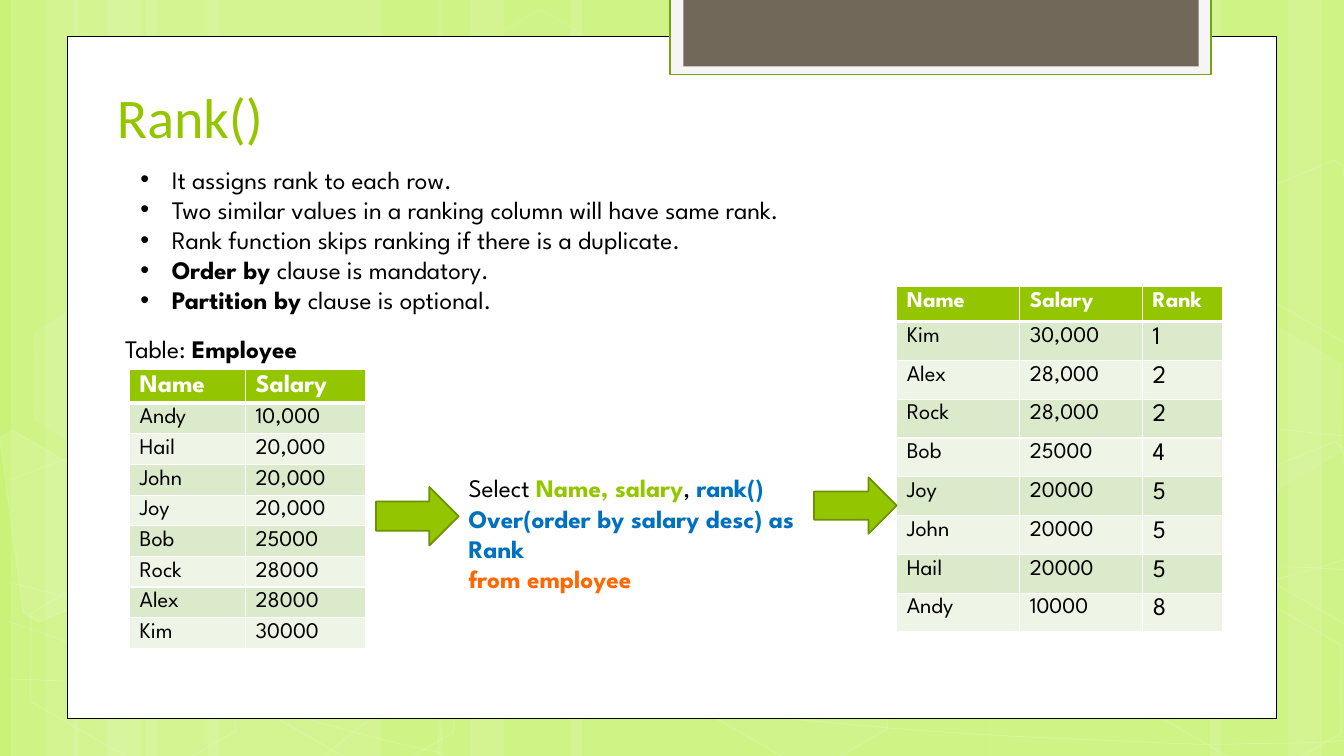
from pptx import Presentation
from pptx.dml.color import RGBColor
from pptx.enum.shapes import MSO_SHAPE
from pptx.enum.text import MSO_ANCHOR, MSO_AUTO_SIZE, PP_ALIGN
from pptx.oxml import parse_xml
from pptx.oxml.ns import nsdecls, qn
from pptx.util import Pt

RECTANGLE, HEXAGON = MSO_SHAPE.RECTANGLE, MSO_SHAPE.HEXAGON
RIGHT_ARROW = MSO_SHAPE.RIGHT_ARROW
TOP, BOTTOM = MSO_ANCHOR.TOP, MSO_ANCHOR.BOTTOM
NO_AUTOFIT, LEFT = MSO_AUTO_SIZE.NONE, PP_ALIGN.LEFT

GREEN, WHITE, BLACK, BLUE, ORANGE = "94C600", "FFFFFF", "000000", "0070C0", "FF6700"
BAND_DARK, BAND_LIGHT = "DCEACC", "EEF5E7"
BODY = {"name": "League Spartan", "size": Pt(18), "bold": False, "color": BLACK}
BOLD = {**BODY, "bold": True}
CELL = {**BODY, "size": Pt(16)}

# Backdrop data: bands as (outer edge, direction, wide stripe), curves as Bezier points
BANDS = [(8, 1, 168), (52.4, 1, 168), (968, -1, 168), (312, 1, 296)]
CURVES = [
    [(7, 485), (59, 487), (111, 489), (183, 488), (255, 487), (343, 486), (439, 479),
     (536, 472), (672, 458), (760, 444), (848, 431), (938, 409), (967, 397)],
    [(7, 343), (35, 332), (62, 321), (117, 310), (171, 300), (248, 284), (333, 279),
     (419, 274), (525, 273), (628, 279), (734, 284), (909, 307), (967, 312)],
    [(6, 444), (122, 484), (238, 523), (321, 539)],
    [(7, 416), (37, 424), (67, 432), (123, 444), (179, 454), (262, 472), (342, 485),
     (422, 497), (523, 510), (603, 517), (683, 525), (768, 528), (819, 530),
     (869, 533), (882, 531), (907, 531), (932, 531), (950, 530), (967, 528)],
    [(233, 539), (250, 525), (267, 510), (290, 498), (313, 485), (346, 470), (372, 460),
     (399, 450), (415, 446), (451, 438), (487, 431), (551, 421), (584, 416),
     (618, 411), (623, 411), (653, 410), (683, 408), (729, 405), (762, 405),
     (796, 404), (851, 405), (851, 405), (872, 405), (893, 405), (914, 405),
     (932, 405), (949, 406), (957, 407), (961, 407), (966, 407), (966, 407)],
]
# Left, top, fill opacity, line opacity
HEXAGONS = [(320.4, 26, 4, 8), (476.6, 424, 6, 12), (10.8, 425.5, 0, 12),
            (13.7, 224.6, 7, 8), (167, 426, 0, 12), (800.6, 427, 0, 12),
            (800.6, 226, 7, 8)]
# Hexagons cut by the slide edge: left, top, fill opacity, corners before rotation
LEFT_CUT = [(0, 9), (5, 0), (91, 0), (132, 55), (90, 109), (77, 109)]
RIGHT_CUT = [(0, 54.5), (42, 0), (49, 0), (130, 104.5), (126, 109), (42, 109)]
CUT_HEXAGONS = [(-31.7, 330.5, 10, LEFT_CUT), (880.6, 319.7, 4, RIGHT_CUT),
                (880.6, 118.8, 0, RIGHT_CUT)]

EMPLOYEES = [("Name", "Salary"), ("Andy", "10,000"), ("Hail", "20,000"),
             ("John", "20,000"), ("Joy", "20,000"), ("Bob", "25000"),
             ("Rock", "28000"), ("Alex", "28000"), ("Kim", "30000")]
RANKING = [("Name", "Salary", "Rank"), ("Kim", "30,000", "1"), ("Alex", "28,000", "2"),
           ("Rock", "28,000", "2"), ("Bob", "25000", "4"), ("Joy", "20000", "5"),
           ("John", "20000", "5"), ("Hail", "20000", "5"), ("Andy", "10000", "8")]
RULES = [
    [("It assigns rank to each row.", BODY)],
    [("Two similar values in a ranking column will have same rank.", BODY)],
    [("Rank function skips ranking if there is a duplicate.", BODY)],
    [("Order by ", BOLD), ("clause is mandatory.", BODY)],
    [("Partition by ", BOLD), ("clause is optional.", BODY)],
]
QUERY = [
    [("Select ", BODY), ("Name, salary", {**BOLD, "color": GREEN}), (", ", BODY),
     ("rank() Over(order by salary desc) as Rank", {**BOLD, "color": BLUE})],
    [("from employee", {**BOLD, "color": ORANGE})],
]


def rgb(value):
    return RGBColor.from_string(value)


def paint(shape, fill=None, line=None, width=1, fill_opacity=100, line_opacity=100):
    shape.shadow.inherit = False
    if fill and fill_opacity:
        shape.fill.solid()
        shape.fill.fore_color.rgb = rgb(fill)
    else:
        shape.fill.background()
    if line:
        shape.line.color.rgb = rgb(line)
        shape.line.width = Pt(width)
    else:
        shape.line.fill.background()
    solid = f"{qn('a:solidFill')}/{qn('a:srgbClr')}"
    for place, opacity in ((solid, fill_opacity), (f"{qn('a:ln')}/{solid}", line_opacity)):
        color = shape.element.spPr.find(place)
        if color is not None and opacity < 100:
            color.append(parse_xml(f'<a:alpha {nsdecls("a")} val="{opacity * 1000}"/>'))


def add_shape(slide, kind, box, **look):
    shape = slide.shapes.add_shape(kind, *map(Pt, box))
    paint(shape, **look)
    return shape


def add_outline(slide, points, close, **look):
    corners = [(Pt(x), Pt(y)) for x, y in points]
    builder = slide.shapes.build_freeform(*corners[0])
    builder.add_line_segments(corners[1:], close=close)
    outline = builder.convert_to_shape()
    paint(outline, **look)
    return outline


def add_curve(slide, controls, **look):
    curve = add_outline(slide, controls, False, **look)
    # Each three line ends become the control points of one Bezier segment
    segments = list(curve.element.iter(qn("a:lnTo")))
    for start in range(0, len(segments), 3):
        bezier = parse_xml(f'<a:cubicBezTo {nsdecls("a")}/>')
        segments[start].addprevious(bezier)
        for segment in segments[start:start + 3]:
            bezier.append(segment[0])
            segment.getparent().remove(segment)


def write(paragraph, runs):
    for text, style in runs:
        run = paragraph.add_run()
        run.text = text
        for key, value in style.items():
            if key == "color":
                run.font.color.rgb = rgb(value)
            else:
                setattr(run.font, key, value)


def fill_text(shape, box, paragraphs, anchor=TOP, indent=0):
    for key, value in zip(("left", "top", "width", "height"), box):
        setattr(shape, key, Pt(value))
    frame = shape.text_frame
    for key, value in {"word_wrap": True, "auto_size": NO_AUTOFIT,
                       "vertical_anchor": anchor}.items():
        setattr(frame, key, value)
    for index, runs in enumerate(paragraphs):
        paragraph = frame.add_paragraph() if index else frame.paragraphs[0]
        paragraph.alignment, paragraph.space_before = LEFT, Pt(0)
        if indent:
            properties = paragraph._p.get_or_add_pPr()
            properties.set("marL", str(Pt(indent)))
            properties.set("indent", str(-Pt(indent)))
        write(paragraph, runs)


def add_text(slide, box, paragraphs):
    fill_text(slide.shapes.add_textbox(*map(Pt, box)), box, paragraphs)


def add_grid(slide, left, top, rows, widths, heights, header_size):
    grid = slide.shapes.add_table(len(rows), len(widths), Pt(left), Pt(top),
                                  Pt(sum(widths)), Pt(sum(heights))).table
    for column, width in zip(grid.columns, widths):
        column.width = Pt(width)
    for r, values in enumerate(rows):
        grid.rows[r].height = Pt(heights[r])
        for c, value in enumerate(values):
            cell = grid.cell(r, c)
            style = {**CELL, "size": Pt(18)} if c == 2 else CELL
            if r == 0:
                style = {**BOLD, "size": Pt(header_size), "color": WHITE}
            write(cell.text_frame.paragraphs[0], [(value, style)])
            # Cell borders come before the fill
            properties = cell._tc.get_or_add_tcPr()
            for side in "LRTB":
                heavy = (r, side) in ((0, "B"), (1, "T"))
                properties.append(parse_xml(
                    f'<a:ln{side} {nsdecls("a")} w="{Pt(3 if heavy else 1)}"><a:solidFill>'
                    f'<a:srgbClr val="{WHITE}"/></a:solidFill></a:ln{side}>'))
            cell.fill.solid()
            cell.fill.fore_color.rgb = rgb((BAND_DARK if r % 2 else BAND_LIGHT) if r else GREEN)


def add_backdrop(slide, width, height):
    slide.background.fill.solid()
    slide.background.fill.fore_color.rgb = rgb("CAF278")
    # Stripes
    for edge, direction, wide in BANDS:
        for offset, stripe in ((96, wide), (0, 48), (24, 80)):
            left = edge + offset if direction > 0 else edge - offset - stripe
            band = add_shape(slide, RECTANGLE, (left, 0, stripe, height),
                             fill=WHITE, fill_opacity=10)
            band.rotation = 0 if direction > 0 else 180
    # Curves and hexagons
    for controls in CURVES:
        add_curve(slide, controls, line=WHITE, width=0.5, line_opacity=20)
    for left, top, opacity, edge in HEXAGONS:
        hexagon = add_shape(slide, HEXAGON, (left, top, 168.5, 109.4), fill=WHITE,
                            line=WHITE, fill_opacity=opacity, line_opacity=edge)
        hexagon.adjustments[0] = 0.285
        hexagon.rotation = 30
    for left, top, opacity, corners in CUT_HEXAGONS:
        points = [(left + x, top + y) for x, y in corners]
        add_outline(slide, points, True, fill=WHITE, line=WHITE,
                    fill_opacity=opacity, line_opacity=12).rotation = 30
    # Card and top tab
    add_shape(slide, RECTANGLE, (48, 26, width - 96, 487), fill=WHITE, line=BLACK, width=0.5)
    add_shape(slide, RECTANGLE, (478.8, -1.5, 386, 54.7), fill="F5F5F5", line="74A510", width=1.25)
    add_shape(slide, RECTANGLE, (488.2, -1.5, 368, 49), fill="71685A")


def add_rank_slide(deck, width, height):
    slide = deck.slides.add_slide(deck.slide_layouts[1])
    title, rules = slide.placeholders
    add_backdrop(slide, width, height)
    # Title, brought in front of the backdrop
    slide.shapes.element.append(title.element)
    heading = {"name": "Calibri", "size": Pt(40), "color": GREEN}
    fill_text(title, (76.3, 52.2, 737.3, 58.3), [[("Rank()", heading)]], BOTTOM)
    # Ranked table and source table
    add_grid(slide, 640.6, 204.8, RANKING, (87.8, 87.8, 57), [24.9] + [27.75] * 8, 16)
    add_grid(slide, 92.6, 264.2, EMPLOYEES, (82.8, 85.4), [22.5] + [21] * 8, 18)
    # Rules, table caption and query
    slide.shapes.element.append(rules.element)
    fill_text(rules, (93, 113.4, 586, 181.4), RULES, indent=22.5)
    add_text(slide, (82.2, 234.7, 179, 29.5), [[("Table: ", BODY), ("Employee", BOLD)]])
    add_text(slide, (327.6, 334, 272, 116.6), QUERY)
    # Flow arrows
    for box in ((268.6, 347.8, 59, 41.8), (581.5, 341, 59, 40.3)):
        add_shape(slide, RIGHT_ARROW, box, fill=GREEN, line="6D9200", width=1.25)


def main():
    deck = Presentation()
    width, height = 960, 540
    deck.slide_width, deck.slide_height = Pt(width), Pt(height)
    add_rank_slide(deck, width, height)
    deck.save("out.pptx")


if __name__ == "__main__":
    main()
